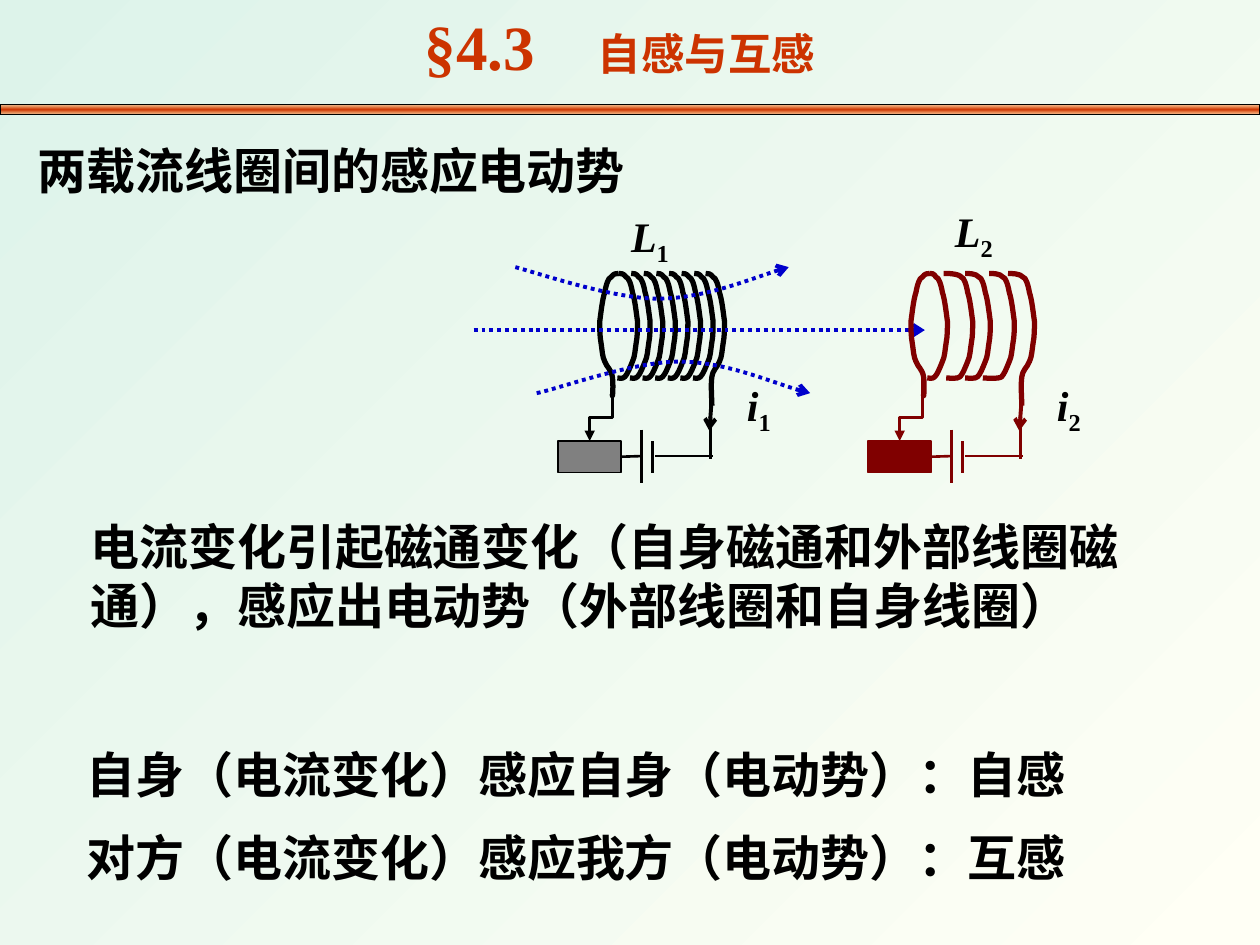
from copy import deepcopy

from lxml import etree
from pptx import Presentation
from pptx.dml.color import RGBColor
from pptx.enum.dml import MSO_LINE
from pptx.enum.shapes import MSO_CONNECTOR, MSO_SHAPE
from pptx.enum.text import MSO_ANCHOR, PP_ALIGN
from pptx.oxml.ns import qn
from pptx.util import Inches, Pt

STRAIGHT, ELBOW = MSO_CONNECTOR.STRAIGHT, MSO_CONNECTOR.ELBOW
RECTANGLE = MSO_SHAPE.RECTANGLE
DOTTED = MSO_LINE.ROUND_DOT
LEFT, CENTER = PP_ALIGN.LEFT, PP_ALIGN.CENTER
TOP, MIDDLE = MSO_ANCHOR.TOP, MSO_ANCHOR.MIDDLE
RIGHT_SIDE = 3

COLUMNS, ROWS = 10, 7.5
FONT = "Times New Roman"
COLORS = {
    "mint": "DDF3EA", "cream": "FFFFF5", "orange": "FF6600", "rust": "CC3300",
    "black": "000000", "gray": "808080", "maroon": "800000", "blue": "0000CC",
}

# Right half of a turn, as (offset from its outermost column, row)
TURN_ENTRY = [(-0.15, 3), (-0.12, 3.01), (-0.10, 2.99), (-0.08, 2.97), (-0.06, 2.92), (-0.04, 2.87)]
LEAD_ENTRY = [(-0.10, 3.18), (-0.11, 3.05), (-0.10, 2.99), (-0.09, 2.93), (-0.06, 2.92), (-0.04, 2.87)]
TURN_BODY = [
    (-0.02, 2.83), (-0.02, 2.78), (-0.01, 2.72), (0, 2.67), (0, 2.61), (0, 2.55),
    (-0.01, 2.48), (-0.02, 2.38), (-0.04, 2.32), (-0.05, 2.26), (-0.07, 2.2), (-0.09, 2.2),
]
CIRCUIT_SHIFT = 2.46


def color(name):
    return RGBColor.from_string(COLORS[name])


def set_stops(gradient_list, stops):
    """Fill the list with stops of (percent, colour name, opacity percent)."""
    template = deepcopy(gradient_list[0])
    for stop in list(gradient_list):
        gradient_list.remove(stop)
    for position, name, opacity in stops:
        stop = deepcopy(template)
        stop.set("pos", str(position * 1000))
        for child in list(stop):
            stop.remove(child)
        value = etree.SubElement(stop, qn("a:srgbClr"), val=COLORS[name])
        if opacity < 100:
            etree.SubElement(value, qn("a:alpha"), val=str(opacity * 1000))
        gradient_list.append(stop)


class SlideBuilder:
    def __init__(self, presentation):
        self.presentation = presentation
        self.slide = presentation.slides.add_slide(presentation.slide_layouts[6])
        self.shapes = self.slide.shapes

    def x(self, column):
        return round(self.presentation.slide_width * column / COLUMNS)

    def y(self, row):
        return round(self.presentation.slide_height * row / ROWS)

    def place(self, column, row, width, height):
        return self.x(column), self.y(row), self.x(width), self.y(height)

    def background(self):
        fill = self.slide.background.fill
        fill.gradient()
        fill.gradient_angle = 315
        set_stops(self.slide._element.xpath("./p:cSld/p:bg//a:gsLst")[0],
                  [(0, "mint", 100), (100, "cream", 100)])

    def style_line(self, shape, name, width, arrow=None, dash=None):
        line = shape.line
        line.color.rgb = color(name)
        line.width = Pt(width)
        if dash:
            line.dash_style = dash
        if arrow:
            etree.SubElement(shape._element.spPr.find(qn("a:ln")), qn("a:tailEnd"), type=arrow)

    def rectangle(self, area, fill, line):
        shape = self.shapes.add_shape(RECTANGLE, *self.place(*area))
        shape.shadow.inherit = False
        shape.fill.solid()
        shape.fill.fore_color.rgb = color(fill)
        self.style_line(shape, line, 1)
        return shape

    def rule(self, area):
        shape = self.rectangle(area, "rust", "black")
        shape.fill.gradient()
        shape.fill.gradient_angle = 270
        set_stops(shape._element.xpath(".//a:gsLst")[0],
                  [(0, "orange", 32), (50, "rust", 100), (100, "orange", 32)])

    def connector(self, start, end, name, width=1.5, kind=STRAIGHT, **line_format):
        connector = self.shapes.add_connector(
            kind, self.x(start[0]), self.y(start[1]), self.x(end[0]), self.y(end[1]))
        self.style_line(connector, name, width, **line_format)
        etree.SubElement(connector._element.spPr, qn("a:effectLst"))
        return connector

    def drop_connector(self, start, end, name, bend):
        """Draw an elbow that leaves downwards, turns at the bend and arrives downwards."""
        middle_x, middle_y = (start[0] + end[0]) / 2, (start[1] + end[1]) / 2
        half_drop, half_shift = (end[1] - start[1]) / 2, (start[0] - end[0]) / 2
        connector = self.connector(
            (middle_x - half_drop, middle_y - half_shift),
            (middle_x + half_drop, middle_y + half_shift), name, kind=ELBOW, arrow="triangle")
        properties = connector._element.spPr
        properties.find(qn("a:xfrm")).set("rot", str(90 * 60000))
        adjustments = properties.find(qn("a:prstGeom")).find(qn("a:avLst"))
        etree.SubElement(adjustments, qn("a:gd"), name="adj1", fmla=f"val {round(bend * 100000)}")

    def curve(self, points, name, width=3, **line_format):
        """Draw cubic curves: a start, then two controls and an end for each piece."""
        places = [(self.x(column), self.y(row)) for column, row in points]
        builder = self.shapes.build_freeform(*places[0])
        builder.add_line_segments(places[1:], close=False)
        shape = builder.convert_to_shape()
        shape.shadow.inherit = False
        shape.fill.background()
        self.style_line(shape, name, width, **line_format)
        outline = shape._element.xpath(".//a:path")[0]
        segments = outline.findall(qn("a:lnTo"))
        for first in range(0, len(segments), 3):
            piece = etree.SubElement(outline, qn("a:cubicBezTo"))
            for segment in segments[first:first + 3]:
                piece.append(segment[0])
                outline.remove(segment)

    def turn(self, edge, name, start=-0.16, end=-0.15, lead_row=None, side=1):
        """Draw a half turn whose outermost column is edge; a lead row adds a lead wire."""
        entry = LEAD_ENTRY if lead_row else TURN_ENTRY
        first = (-0.10, lead_row) if lead_row else (start, 3)
        offsets = [first, *entry, *TURN_BODY, (-0.11, 2.17), (end + 0.02, 2.17), (end, 2.17)]
        if not lead_row:
            offsets[1] = (start + 0.02, 3)
        self.curve([(edge + side * offset, row) for offset, row in offsets], name)

    def text(self, paragraphs, area, size=28, name="black", align=LEFT, anchor=TOP,
             wrap=True, italic=False, space=14):
        """Add paragraphs, each a list of (text, format) runs."""
        frame = self.shapes.add_textbox(*self.place(*area)).text_frame
        frame.word_wrap = wrap
        frame.vertical_anchor = anchor
        for index, runs in enumerate(paragraphs):
            paragraph = frame.paragraphs[0] if index == 0 else frame.add_paragraph()
            paragraph.alignment = align
            if index:
                paragraph.space_before = Pt(space)
            for words, run_format in runs:
                run = paragraph.add_run()
                run.text = words
                font = run.font
                font.name, font.bold = FONT, True
                font.size = Pt(run_format.get("size", size))
                font.italic = run_format.get("italic", italic)
                font.color.rgb = color(name)
                if "baseline" in run_format:
                    font._element.set("baseline", str(run_format["baseline"] * 1000))

    def symbol(self, letter, index, area):
        subscript = {"italic": False, "baseline": -25}
        self.text([[(letter, {}), (index, subscript)]], area, size=24, wrap=False, italic=True)

    def circuit(self, shift, name, fill, index):
        """Draw the source below a coil, with its wires and symbols."""
        def at(column, row):
            return column + shift, row

        box = self.rectangle((*at(4.43, 3.5), 0.5, 0.25), fill, name)
        self.connector(at(4.93, 3.62), at(5.09, 3.62), name).begin_connect(box, RIGHT_SIDE)
        for start, end in [((5.09, 3.41), (5.09, 3.83)), ((5.18, 3.5), (5.18, 3.75)),
                           ((5.2, 3.62), (5.66, 3.62)), ((5.64, 3.2), (5.64, 3.64))]:
            self.connector(at(*start), at(*end), name)
        self.connector(at(5.65, 3.15), at(5.63, 3.42), name, 2.25, arrow="arrow")
        self.drop_connector(at(4.86, 3), at(4.68, 3.5), name, bend=0.63)
        self.symbol("i", index, (*at(5.83, 2.96), 0.4, 0.5))


def main():
    presentation = Presentation()
    presentation.slide_width, presentation.slide_height = Inches(COLUMNS), Inches(ROWS)
    builder = SlideBuilder(presentation)
    builder.background()

    for number in range(7):
        builder.turn(5.06 + number * 0.1, "black")
    builder.turn(4.76, "black", lead_row=3.13, side=-1)
    builder.turn(5.75, "black", lead_row=3.22)
    builder.circuit(0, "black", "gray", "1")
    builder.symbol("L", "1", (4.91, 1.62, 0.52, 0.5))

    field = {"name": "blue", "width": 2.25, "arrow": "arrow", "dash": DOTTED}
    builder.curve([(4.09, 2.12), (4.28, 2.17), (4.86, 2.37), (5.22, 2.37),
                   (5.58, 2.37), (6.04, 2.18), (6.26, 2.12)], **field)
    builder.connector((3.76, 2.62), (7.34, 2.62), **field)
    builder.curve([(4.26, 3.12), (4.45, 3.08), (5.02, 2.87), (5.39, 2.87),
                   (5.75, 2.87), (6.21, 3.07), (6.43, 3.12)], **field)

    for edge, start, end in [(7.52, -0.16, -0.14), (7.72, -0.21, -0.23),
                             (7.86, -0.2, -0.2), (8.05, -0.25, -0.2)]:
        builder.turn(edge, "maroon", start, end)
    builder.turn(7.23, "maroon", lead_row=3.13, side=-1)
    builder.turn(8.21, "maroon", end=-0.21, lead_row=3.22)
    builder.circuit(CIRCUIT_SHIFT, "maroon", "maroon", "2")
    builder.symbol("L", "2", (7.48, 1.58, 0.52, 0.5))

    builder.rule((0, 0.83, 10, 0.08))
    builder.text([[("两载流线圈间的感应电动势", {})]], (0.2, 1.07, 9.08, 0.57))
    builder.text([[("自身（电流变化）感应自身（电动势）：自感", {})],
                  [("对方（电流变化）感应我方（电动势）：互感", {})]], (0.59, 5.86, 8.42, 1.28))
    builder.text([[("电流变化引起磁通变化（自身磁通和外部线圈磁通），感应出电动势（外部线圈和自身线圈）", {})]],
                 (0.62, 4.05, 8.47, 1.04))
    builder.text([[("§4.3　", {}), ("自感与互感", {"size": 24.8})]], (0.67, -0.03, 8.5, 0.78),
                 size=36, name="rust", align=CENTER, anchor=MIDDLE)
    presentation.save("out.pptx")


if __name__ == "__main__":
    main()
